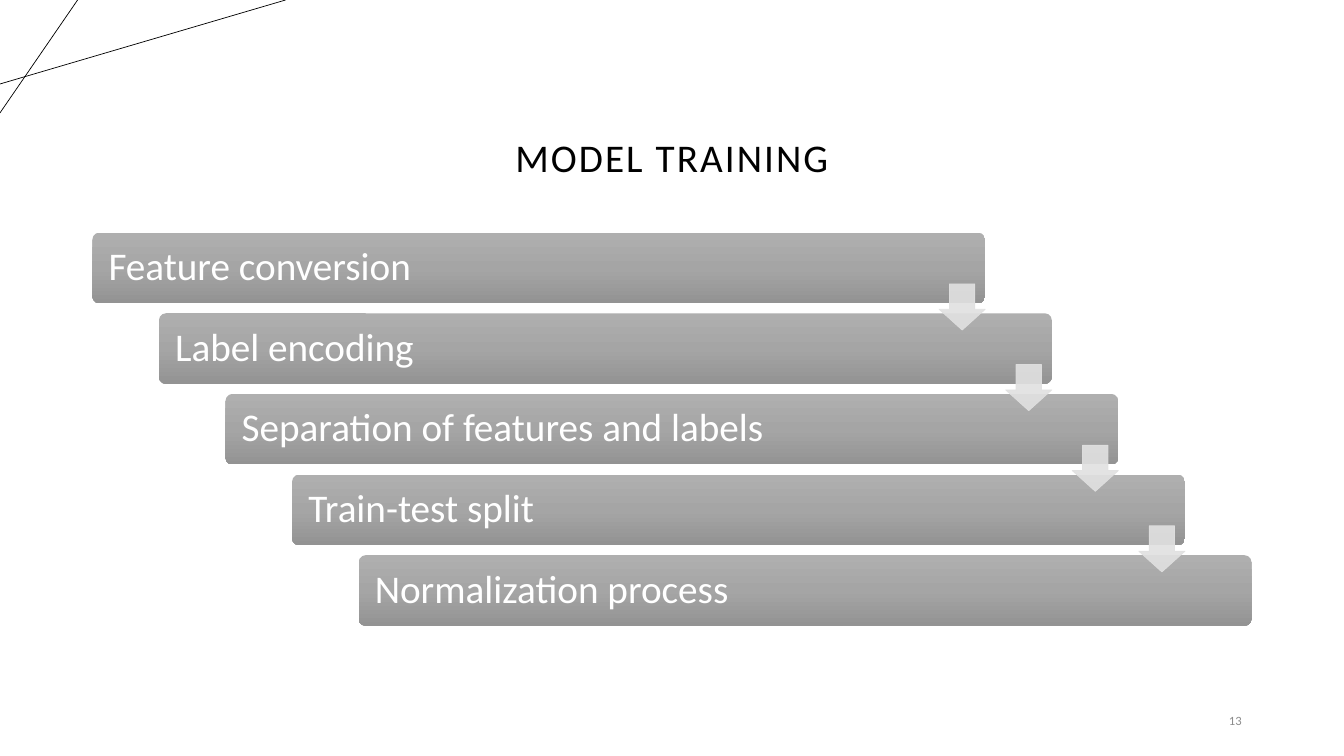
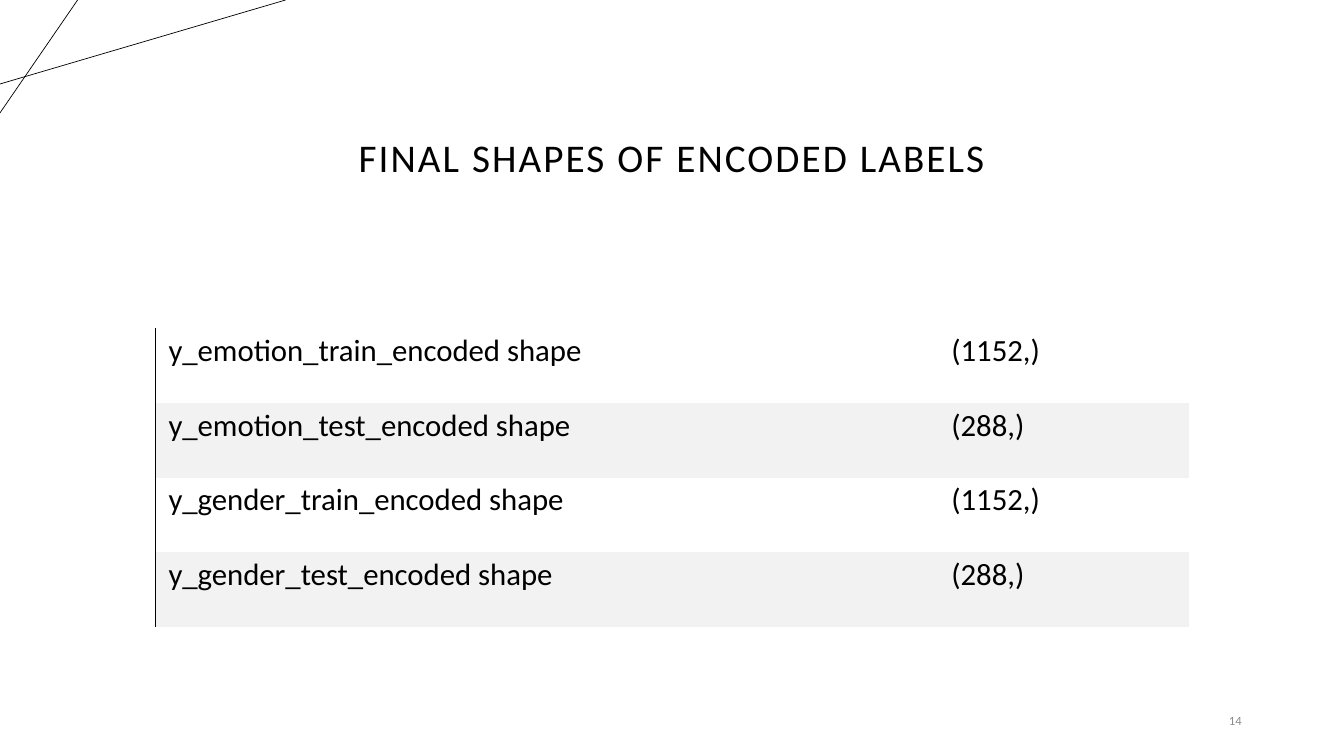
from copy import deepcopy
from dataclasses import dataclass
from typing import Any

from lxml.etree import SubElement
from pptx import Presentation
from pptx.dml.color import RGBColor
from pptx.enum.shapes import MSO_CONNECTOR as Connector, MSO_SHAPE as Shape
from pptx.enum.text import MSO_ANCHOR as Anchor, PP_ALIGN as Align
from pptx.oxml.ns import qn
from pptx.util import Emu, Inches, Pt

# Grid: 160 columns by 90 rows of square cells
COLUMNS, ROWS = 160, 90
CELL = Inches(1) // 12

FONT = "Calibri"
BLACK, WHITE, NUMBER_GREY = "000000", "FFFFFF", "8C8C8C"
BAND_GREY, ARROW_GREY = "F2F2F2", "E1E1E1"
BAR_GRADIENT = ((0, "AFAFAF"), (0.5, "A5A5A5"), (1, "939393"))
NO_TABLE_STYLE = "{2D5ABB26-0587-4C30-8999-92F81FD0307C}"

MARGIN = 11
CONTENT_WIDTH = COLUMNS - 2 * MARGIN
CONTENT_TOP = 27.7


@dataclass(frozen=True)
class Box:
    left: float
    top: float
    width: float
    height: float

    def lengths(self) -> tuple[Emu, ...]:
        return tuple(map(grid, (self.left, self.top, self.width, self.height)))


@dataclass(frozen=True)
class TextStyle:
    size: float
    color: str
    align: Align = Align.LEFT
    line_spacing: float = 1.0
    tracking: int = 0


@dataclass(frozen=True)
class CornerLine:
    start: tuple[float, float]
    end: tuple[float, float]


@dataclass(frozen=True)
class LabelShape:
    label: str
    shape: str


TITLE_BOX = Box(MARGIN, 4.7, CONTENT_WIDTH, 17.4)
NUMBER_BOX = Box(136, 83.4, 13, 4.8)
CORNER_LINES = (CornerLine((0, 10), (34, 0)), CornerLine((9.24, 0), (0, 13.44)))

TITLE_STYLE = TextStyle(28, BLACK, Align.CENTER, 0.9, 150)
NUMBER_STYLE = TextStyle(9, NUMBER_GREY, Align.RIGHT)
STEP_STYLE = TextStyle(28, WHITE, line_spacing=0.9)
CELL_STYLE = TextStyle(22, BLACK)

STEPS = (
    "Feature conversion",
    "Label encoding",
    "Separation of features and labels",
    "Train-test split",
    "Normalization process",
)
LABEL_SHAPES = (
    LabelShape("y_emotion_train_encoded shape", "(1152,)"),
    LabelShape("y_emotion_test_encoded shape", "(288,)"),
    LabelShape("y_gender_train_encoded shape", "(1152,)"),
    LabelShape("y_gender_test_encoded shape", "(288,)"),
)


def grid(cells: float) -> Emu:
    return Emu(round(cells * CELL))


def rgb(color: str) -> RGBColor:
    return RGBColor.from_string(color)


def apply(target: Any, values: dict[str, Any]) -> None:
    for name, value in values.items():
        setattr(target, name, value)


def write(frame: Any, text: str, style: TextStyle) -> None:
    paragraph = frame.paragraphs[0]
    apply(paragraph, {"alignment": style.align, "line_spacing": style.line_spacing})
    run = paragraph.add_run()
    run.text = text
    apply(run.font, {"name": FONT, "size": Pt(style.size)})
    run.font.color.rgb = rgb(style.color)
    if style.tracking:
        run.font._element.set("spc", str(style.tracking))


def add_text(slide: Any, box: Box, text: str, style: TextStyle, anchor: Anchor) -> None:
    frame = slide.shapes.add_textbox(*box.lengths()).text_frame
    apply(frame, {"word_wrap": True, "vertical_anchor": anchor})
    write(frame, text, style)


def add_corner_line(slide: Any, line: CornerLine) -> None:
    ends = map(grid, (*line.start, *line.end))
    connector = slide.shapes.add_connector(Connector.STRAIGHT, *ends)
    connector.line.width = Pt(0.5)
    connector.line.color.rgb = rgb(BLACK)
    SubElement(connector._element.spPr, qn("a:effectLst"))


def add_base_slide(presentation: Any, title: str, number: int) -> Any:
    """Add a slide with the corner lines, title and number."""
    slide = presentation.slides.add_slide(presentation.slide_layouts[6])
    for line in CORNER_LINES:
        add_corner_line(slide, line)
    add_text(slide, TITLE_BOX, title, TITLE_STYLE, Anchor.BOTTOM)
    add_text(slide, NUMBER_BOX, str(number), NUMBER_STYLE, Anchor.MIDDLE)
    return slide


def add_preset(slide: Any, kind: Shape, box: Box, adjustments: tuple[float, ...]) -> Any:
    shape = slide.shapes.add_shape(kind, *box.lengths())
    shape.shadow.inherit = False
    for index, value in enumerate(adjustments):
        shape.adjustments[index] = value
    return shape


def add_step_bar(slide: Any, box: Box, text: str) -> None:
    bar = add_preset(slide, Shape.ROUNDED_RECTANGLE, box, (0.1,))
    bar.line.fill.background()
    bar.fill.gradient()
    bar.fill.gradient_angle = 270
    stop_list = bar._element.spPr.find(".//" + qn("a:gsLst"))
    stop_list.append(deepcopy(stop_list[0]))
    for stop, (position, color) in zip(bar.fill.gradient_stops, BAR_GRADIENT):
        stop.position = position
        stop.color.rgb = rgb(color)
    apply(bar.text_frame, {
        "word_wrap": True,
        "vertical_anchor": Anchor.MIDDLE,
        "margin_left": Inches(0.14),
    })
    write(bar.text_frame, text, STEP_STYLE)


def add_step_arrow(slide: Any, box: Box) -> None:
    arrow = add_preset(slide, Shape.DOWN_ARROW, box, (0.55, 0.45))
    arrow.fill.solid()
    arrow.fill.fore_color.rgb = rgb(ARROW_GREY)
    arrow.line.color.rgb = rgb(ARROW_GREY)
    arrow.line.width = Pt(0.5)
    for color in arrow._element.spPr.iter(qn("a:srgbClr")):
        SubElement(color, qn("a:alpha"), val="90000")


def add_staircase(slide: Any) -> None:
    width, height, pitch = 106.3, 8.4, 9.6
    arrow_size, arrow_drop = 5.5, 6.1
    shift = (CONTENT_WIDTH - width) / (len(STEPS) - 1)
    bars = [
        Box(MARGIN + index * shift, CONTENT_TOP + index * pitch, width, height)
        for index in range(len(STEPS))
    ]
    for bar, text in zip(bars, STEPS):
        add_step_bar(slide, bar, text)
    for bar in bars[:-1]:
        left = bar.left + bar.width - arrow_size
        add_step_arrow(slide, Box(left, bar.top + arrow_drop, arrow_size, arrow_size))


def add_left_border(cell: Any) -> None:
    properties = cell._tc.get_or_add_tcPr()
    border = SubElement(properties, qn("a:lnL"), w=str(Pt(0.75)))
    fill = SubElement(border, qn("a:solidFill"))
    SubElement(fill, qn("a:srgbClr"), val=BLACK)


def fill_cell(cell: Any, text: str, banded: bool) -> None:
    apply(cell, {
        "margin_left": Inches(0.13),
        "margin_top": Inches(0.04),
        "margin_right": Inches(0.28),
        "margin_bottom": Inches(0.27),
    })
    write(cell.text_frame, text, CELL_STYLE)
    if banded:
        cell.fill.solid()
        cell.fill.fore_color.rgb = rgb(BAND_GREY)
    else:
        cell.fill.background()


def add_label_table(slide: Any) -> None:
    widths = (93.2, 29.8)
    heights = (11.4,) + (8.88,) * len(LABEL_SHAPES)
    box = Box(18.5, CONTENT_TOP, sum(widths), sum(heights))
    table = slide.shapes.add_table(len(heights), len(widths), *box.lengths()).table
    apply(table, {"first_row": False, "horz_banding": False})
    table._tbl.tblPr.find(qn("a:tableStyleId")).text = NO_TABLE_STYLE
    for column, width in zip(table.columns, widths):
        column.width = grid(width)
    for row, height in zip(table.rows, heights):
        row.height = grid(height)

    # The header row stays empty
    for cell in table.rows[0].cells:
        cell.fill.background()
    for index, entry in enumerate(LABEL_SHAPES, start=1):
        label_cell, shape_cell = table.cell(index, 0), table.cell(index, 1)
        add_left_border(label_cell)
        fill_cell(label_cell, entry.label, index % 2 == 0)
        fill_cell(shape_cell, entry.shape, index % 2 == 0)


def main() -> None:
    presentation = Presentation()
    apply(presentation, {"slide_width": grid(COLUMNS), "slide_height": grid(ROWS)})
    add_staircase(add_base_slide(presentation, "MODEL TRAINING", 13))
    add_label_table(add_base_slide(presentation, "FINAL SHAPES OF ENCODED LABELS", 14))
    presentation.save("out.pptx")


if __name__ == "__main__":
    main()
